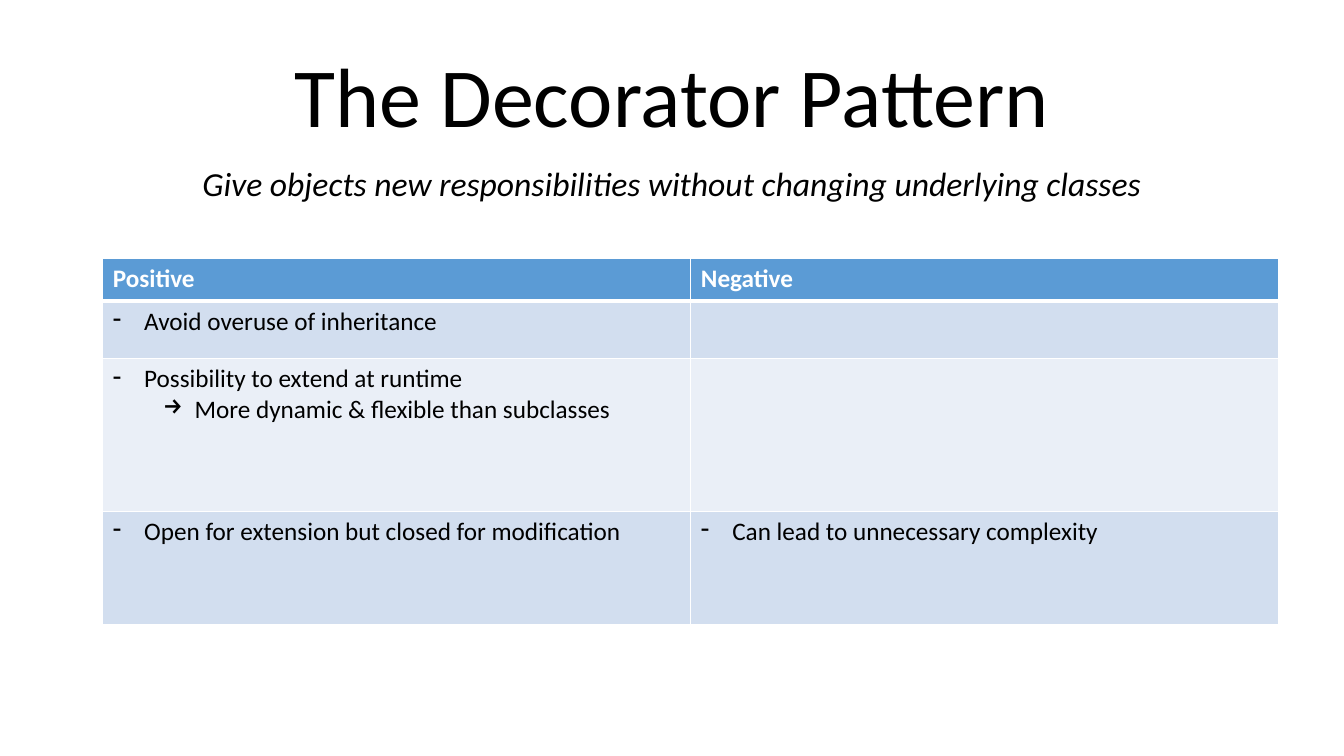
import pptx
import pptx.util
import pptx.dml.color
import pptx.enum.text
import pptx.oxml.ns
from lxml import etree

Cm = pptx.util.Cm
Pt = pptx.util.Pt
ALIGN = pptx.enum.text.PP_ALIGN
ANCHOR = pptx.enum.text.MSO_ANCHOR

TITLE = "The Decorator Pattern"
SUBTITLE = "Give objects new responsibilities without changing underlying classes"
HEADINGS = ["Positive", "Negative"]
ARGUMENTS = [
    ([("-", "Avoid overuse of inheritance")], []),
    ([("-", "Possibility to extend at runtime"),
      ("→", "More dynamic & flexible than subclasses")], []),
    ([("-", "Open for extension but closed for modification")],
     [("-", "Can lead to unnecessary complexity")]),
]
ROW_HEIGHTS = [1.09, 1.45, 3.84, 2.87]
COLUMN_WIDTH = 14.82
BULLET_LEVELS = {"-": (0, 0.79), "→": (1, 2.06)}
HANGING = 0.79
HEADER_FILL = "5B9BD5"
BAND_FILLS = ["D2DEEF", "EAEFF7"]


def color(value):
    return pptx.dml.color.RGBColor.from_string(value)


def style(paragraph, size, ink="000000", bold=False, italic=False):
    font = paragraph.font
    font.name = "Calibri"
    font.size = Pt(size)
    font.color.rgb = color(ink)
    font.bold = bold
    font.italic = italic


def add_heading(slide, text, top, height, size, anchor, italic=False, before=0):
    box = slide.shapes.add_textbox(Cm(4.23), Cm(top), Cm(25.4), Cm(height))
    frame = box.text_frame
    frame.word_wrap = True
    frame.vertical_anchor = anchor
    paragraph = frame.paragraphs[0]
    paragraph.text = text
    paragraph.alignment = ALIGN.CENTER
    paragraph.line_spacing = 0.9
    paragraph.space_before = Pt(before)
    style(paragraph, size, italic=italic)


def set_bullet(paragraph, mark):
    level, indent = BULLET_LEVELS[mark]
    paragraph.level = level
    properties = paragraph._p.get_or_add_pPr()
    properties.set("marL", str(Cm(indent)))
    properties.set("indent", str(-Cm(HANGING)))
    bullet = etree.SubElement(properties, pptx.oxml.ns.qn("a:buChar"))
    bullet.set("char", mark)


def set_borders(cell, widths):
    properties = cell._tc.get_or_add_tcPr()
    for side, width in widths.items():
        line = etree.SubElement(properties, pptx.oxml.ns.qn("a:ln" + side), w=str(Pt(width)))
        fill = etree.SubElement(line, pptx.oxml.ns.qn("a:solidFill"))
        etree.SubElement(fill, pptx.oxml.ns.qn("a:srgbClr"), val="FFFFFF")


def fill_cell(cell, fill, top=1, bottom=1):
    set_borders(cell, {"L": 1, "R": 1, "T": top, "B": bottom})
    cell.fill.solid()
    cell.fill.fore_color.rgb = color(fill)


def add_arguments(slide):
    table = slide.shapes.add_table(
        len(ROW_HEIGHTS), len(HEADINGS), Cm(2.59), Cm(6.5),
        Cm(COLUMN_WIDTH * len(HEADINGS)), Cm(sum(ROW_HEIGHTS))).table
    for column in table.columns:
        column.width = Cm(COLUMN_WIDTH)
    for row, height in zip(table.rows, ROW_HEIGHTS):
        row.height = Cm(height)
    for column, heading in enumerate(HEADINGS):
        cell = table.cell(0, column)
        fill_cell(cell, HEADER_FILL, bottom=3)
        cell.text = heading
        style(cell.text_frame.paragraphs[0], 18, "FFFFFF", bold=True)
    for row, sides in enumerate(ARGUMENTS, start=1):
        for column, points in enumerate(sides):
            cell = table.cell(row, column)
            fill_cell(cell, BAND_FILLS[(row - 1) % 2], top=3 if row == 1 else 1)
            cell.text = "\n".join(text for mark, text in points)
            for paragraph, (mark, text) in zip(cell.text_frame.paragraphs, points):
                set_bullet(paragraph, mark)
                style(paragraph, 18)


def main():
    deck = pptx.Presentation()
    deck.slide_width, deck.slide_height = Cm(33.87), Cm(19.05)
    slide = deck.slides.add_slide(deck.slide_layouts[6])
    add_heading(slide, TITLE, 1.12, 2.67, 60, ANCHOR.BOTTOM)
    add_heading(slide, SUBTITLE, 4.09, 1.42, 24, ANCHOR.TOP, italic=True, before=10)
    add_arguments(slide)
    deck.save("out.pptx")


if __name__ == "__main__":
    main()
